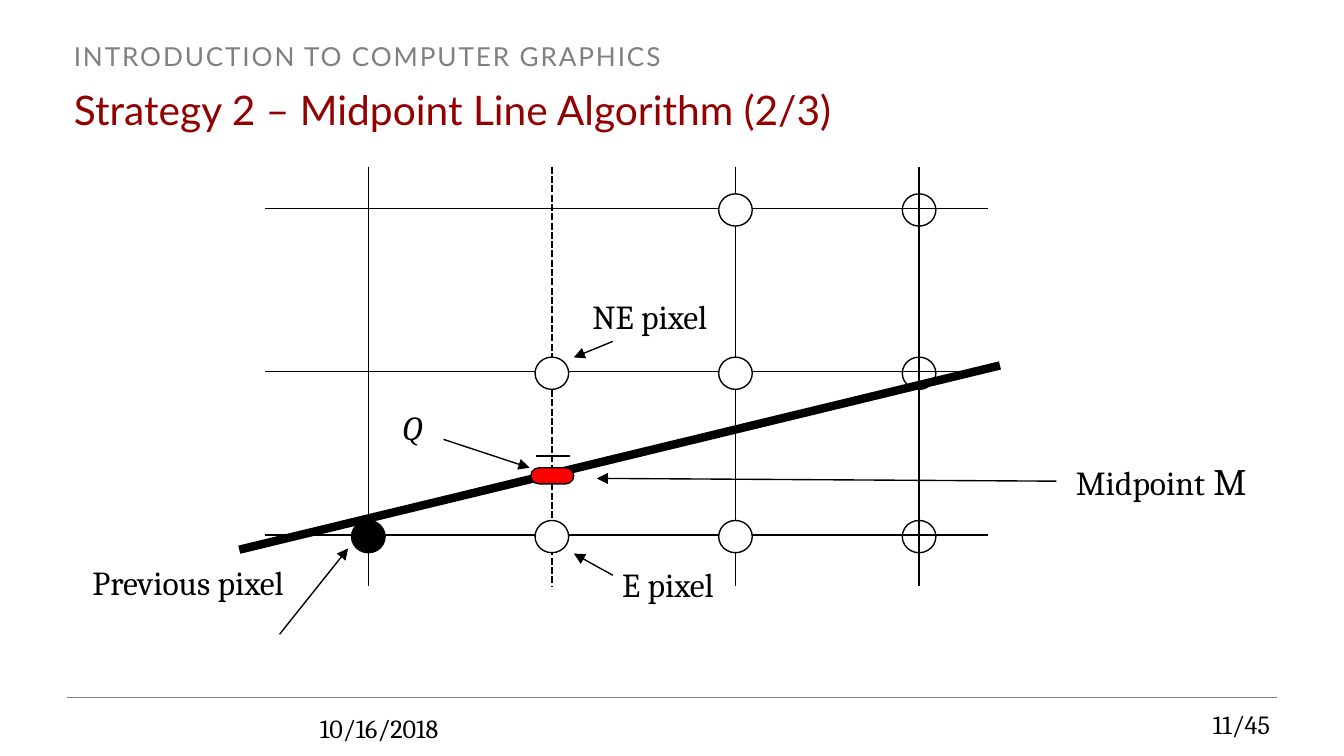
"""Build the midpoint line algorithm slide with its pixel grid and labels."""
from typing import NamedTuple

from lxml import etree
from pptx import Presentation
from pptx import util as u
from pptx.dml.color import RGBColor
from pptx.enum import dml, shapes, text
from pptx.oxml.ns import qn

COLORS = {"ink": "000000", "paper": "FFFFFF", "gray": "808080",
          "title": "920000", "midpoint": "FF0000"}
GRID_X, GRID_Y, STEP_X, STEP_Y = 197.3, 111.6, 98.35, 87.5
PIXEL_W, PIXEL_H, PIXEL_DROP = 18, 17.3, 0.9


class Pixel(NamedTuple):
    col: int
    row: int
    fill: str | None


class Line(NamedTuple):
    x1: float
    y1: float
    x2: float
    y2: float
    width: float = 0.75
    arrow: bool = False
    dash: bool = False
    color: str = "ink"


class Label(NamedTuple):
    runs: list[tuple[str, float]]
    x: float
    y: float
    w: float
    h: float
    fmt: dict


CENTER = {"align": text.PP_ALIGN.CENTER}
PIXELS = ([Pixel(0, 2, "ink"), Pixel(1, 1, "paper"), Pixel(1, 2, "paper")]
          + [Pixel(2, row, "paper") for row in range(3)]
          + [Pixel(3, row, None) for row in range(3)])
GRID = ([Line(x, 89.3, x, 313.9, 1.25 if col == 1 else 0.75, dash=col == 1)
         for col in range(4) for x in [GRID_X + col * STEP_X]]
        + [Line(141.8, y, 529.2, y)
           for row in range(3) for y in [GRID_Y + row * STEP_Y]])
TRUE_LINE = Line(128.2, 294.5, 535.7, 195.8, 4.5)
POINTERS = [
    Line(565.9, 257.8, 319.7, 256.3, arrow=True),
    Line(149.8, 339.8, 186.5, 293.8, arrow=True),
    Line(328.3, 182.9, 307.4, 191.5, arrow=True),
    Line(237.6, 235.4, 283.7, 250.6, arrow=True),
    Line(328.3, 308.2, 307.4, 296.6, arrow=True),
    Line(287.3, 244.1, 305.3, 244.1, 1),
]
LABELS = [
    Label([("INTRODUCTION TO COMPUTER GRAPHICS", 14)], 36, 18, 648, 24.5,
          {"font": "Lato", "color": "gray", "spacing": 1}),
    Label([("10/16/2018", 14)], 167.8, 378, 414, 24.5, {}),
    Label([("11/45", 14)], 588.2, 378, 95.8, 22.3,
          {"align": text.PP_ALIGN.RIGHT, "line_spacing": 0.9}),
    Label([("Previous pixel", 18)], 28.1, 297.4, 145.4, 27.4, CENTER),
    Label([("E pixel", 18)], 319.7, 298.8, 76.3, 27.4, CENTER),
    Label([("NE pixel", 18)], 298.1, 154.8, 100.1, 27.4, CENTER),
    Label([("Midpoint", 18), (" M", 20)], 542.2, 241.9, 159.8, 29.5, CENTER),
    Label([("Q", 18)], 211.7, 214.6, 20.9, 27.4, {"italic": True, "wrap": False}),
]


def rgb(name: str) -> RGBColor:
    return RGBColor.from_string(COLORS[name])


def write(tf, runs: list[tuple[str, float]], *, font: str = "Cambria",
          color: str = "ink", align=text.PP_ALIGN.LEFT, italic: bool = False,
          spacing: float = 0, line_spacing: float = 1, wrap: bool = True,
          anchor=text.MSO_ANCHOR.TOP) -> None:
    tf.word_wrap = wrap
    tf.vertical_anchor = anchor
    tf.margin_left = tf.margin_right = tf.margin_top = tf.margin_bottom = u.Pt(3.6)
    p = tf.paragraphs[0]
    p.alignment = align
    p.line_spacing = line_spacing
    for words, size in runs:
        r = p.add_run()
        r.text = words
        r.font.name, r.font.size, r.font.italic = font, u.Pt(size), italic
        r.font.color.rgb = rgb(color)
        if spacing:
            r._r.get_or_add_rPr().set("spc", str(int(spacing * 100)))


def add_label(s, label: Label) -> None:
    box = s.shapes.add_textbox(u.Pt(label.x), u.Pt(label.y),
                               u.Pt(label.w), u.Pt(label.h))
    write(box.text_frame, label.runs, **label.fmt)


def add_line(s, line: Line) -> None:
    cx = s.shapes.add_connector(shapes.MSO_CONNECTOR.STRAIGHT, u.Pt(line.x1),
                                u.Pt(line.y1), u.Pt(line.x2), u.Pt(line.y2))
    cx.line.color.rgb = rgb(line.color)
    cx.line.width = u.Pt(line.width)
    if line.dash:
        cx.line.dash_style = dml.MSO_LINE.SQUARE_DOT
    if line.arrow:
        etree.SubElement(cx.line._get_or_add_ln(), qn("a:tailEnd"), type="triangle")
    etree.SubElement(cx._element.spPr, qn("a:effectLst"))


def add_outline(s, kind, x: float, y: float, w: float, h: float,
                fill: str | None):
    sp = s.shapes.add_shape(kind, u.Pt(x), u.Pt(y), u.Pt(w), u.Pt(h))
    sp.shadow.inherit = False
    if fill:
        sp.fill.solid()
        sp.fill.fore_color.rgb = rgb(fill)
    else:
        sp.fill.background()
    sp.line.color.rgb = rgb("ink")
    sp.line.width = u.Pt(0.75)
    return sp


def add_pixel(s, pixel: Pixel) -> None:
    x = GRID_X + pixel.col * STEP_X - PIXEL_W / 2
    y = GRID_Y + pixel.row * STEP_Y + PIXEL_DROP - PIXEL_H / 2
    add_outline(s, shapes.MSO_SHAPE.OVAL, x, y, PIXEL_W, PIXEL_H, pixel.fill)


def main() -> None:
    prs = Presentation()
    prs.slide_width, prs.slide_height = u.Pt(720), u.Pt(405)
    s = prs.slides.add_slide(prs.slide_layouts[5])
    title = s.shapes.title
    title.left, title.top = u.Pt(36), u.Pt(40.3)
    title.width, title.height = u.Pt(648), u.Pt(36)
    write(title.text_frame, [("Strategy 2 – Midpoint Line Algorithm (2/3)", 21.8)],
          font="Lato", color="title", anchor=text.MSO_ANCHOR.MIDDLE)

    add_line(s, Line(36, 373.7, 684, 373.7, color="gray"))
    for line in GRID:
        add_line(s, line)
    for pixel in PIXELS:
        add_pixel(s, pixel)
    add_line(s, TRUE_LINE)
    midpoint = add_outline(s, shapes.MSO_SHAPE.ROUNDED_RECTANGLE,
                           284.4, 250.6, 23, 8.6, "midpoint")
    midpoint.adjustments[0] = 0.5
    for line in POINTERS:
        add_line(s, line)
    for label in LABELS:
        add_label(s, label)
    prs.save("out.pptx")


if __name__ == "__main__":
    main()
